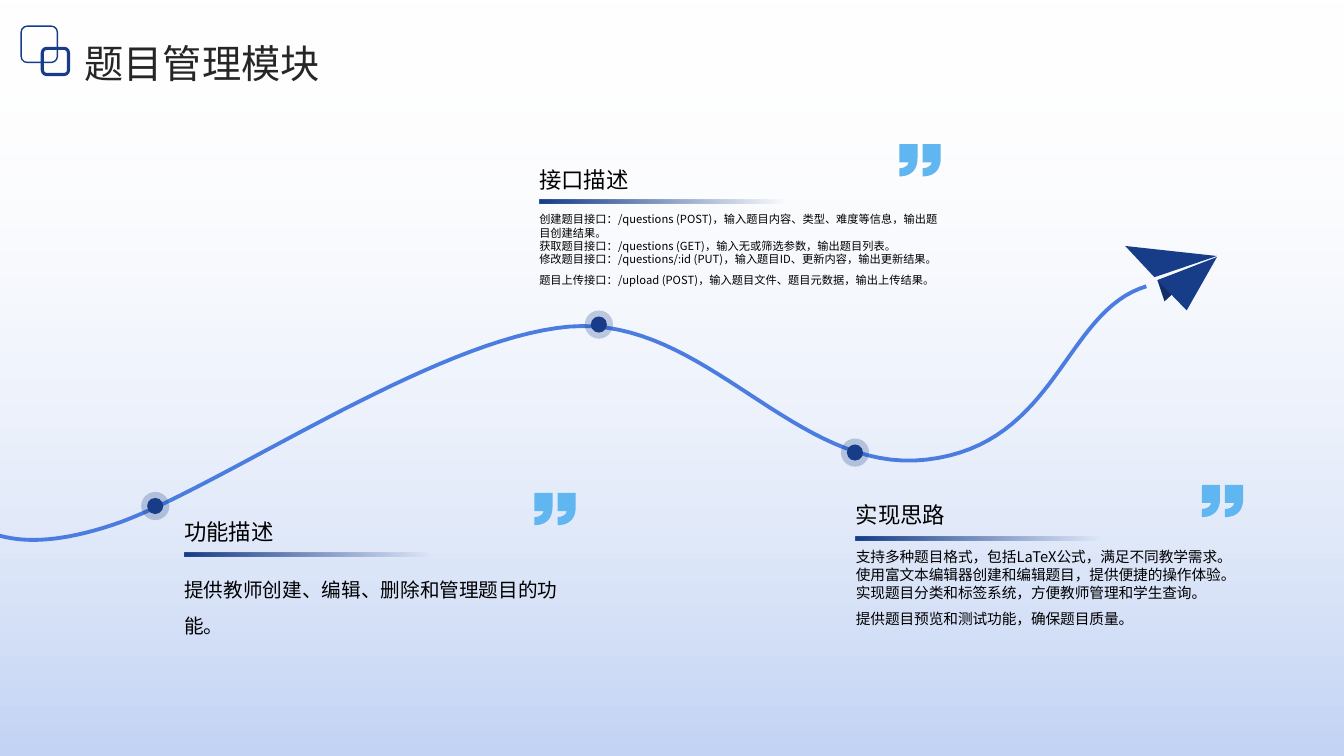
"""Build the question management slide with its three stops on a flight curve."""
from lxml import etree
from pptx import Presentation
from pptx.dml.color import RGBColor
from pptx.enum.shapes import MSO_SHAPE
from pptx.enum.text import MSO_ANCHOR
from pptx.oxml.ns import qn
from pptx.util import Inches, Pt

RECT, OVAL, ROUND = MSO_SHAPE.RECTANGLE, MSO_SHAPE.OVAL, MSO_SHAPE.ROUNDED_RECTANGLE
TOP, BOTTOM = MSO_ANCHOR.TOP, MSO_ANCHOR.BOTTOM
FONT = "Noto Sans CJK SC"
HEX = {"navy": "173D89", "dark": "112E67", "curve": "4B7DE1", "quote": "5FB6F1",
       "white": "FFFFFF", "sky": "C3D4F5", "black": "000000", "title": "262626"}
RGB = {name: RGBColor.from_string(code) for name, code in HEX.items()}


def bend(start, one, two, end, steps=32):
    """Return the points of a cubic curve after its start."""
    points = []
    for step in range(1, steps + 1):
        t = step / steps
        parts = ((1 - t) ** 3, 3 * t * (1 - t) ** 2, 3 * t * t * (1 - t), t ** 3)
        points.append(tuple(sum(part * spot[axis] for part, spot in
                                zip(parts, (start, one, two, end))) for axis in (0, 1)))
    return points


def write(box, lines, size, gaps, color="black", anchor=TOP, inset=None):
    """Add a text box with one paragraph per line and its line spacing."""
    frame = slide.shapes.add_textbox(*map(Inches, box)).text_frame
    frame.word_wrap = True
    frame.vertical_anchor = anchor
    if inset is not None:
        frame.margin_left = frame.margin_right = Inches(inset)
        frame.margin_top = frame.margin_bottom = Inches(inset)
    frame.text = "\n".join(lines)
    for para, gap in zip(frame.paragraphs, gaps):
        para._p.get_or_add_pPr().set("hangingPunct", "0")
        para.line_spacing = gap
        para.font.size = Pt(size)
        para.font.name = FONT
        para.font.color.rgb = RGB[color]
        for run in para.runs:
            etree.SubElement(run.font._element, qn("a:ea"), typeface=FONT)


deck = Presentation()
deck.slide_width, deck.slide_height = Inches(13.33), Inches(7.5)
slide = deck.slides.add_slide(deck.slide_layouts[6])
shapes = slide.shapes
fades = []

back = shapes.add_shape(RECT, 0, 0, deck.slide_width, deck.slide_height)
back.line.fill.background()
back.fill.gradient()
back.fill.gradient_angle = 270
for stop, place, name in zip(back.fill.gradient_stops, (0, 1), ("white", "sky")):
    stop.position, stop.color.rgb = place, RGB[name]
fades.append((back, 0, 0))

knots = [(-0.39, 5.2), (-0.14, 5.21), (0.1, 5.54), (1.11, 5.21), (2.12, 4.88),
         (4.3, 3.35), (5.65, 3.24), (7, 3.13), (7.89, 4.71), (9.19, 4.56),
         (10.49, 4.41), (10.55, 3.09), (11.37, 2.84)]
knots = [tuple(map(Inches, knot)) for knot in knots]
route = [spot for i in range(0, len(knots) - 1, 3) for spot in bend(*knots[i:i + 4])]
pen = shapes.build_freeform(*knots[0])
pen.add_line_segments(route, close=False)
curve = pen.convert_to_shape()
curve.fill.background()
curve.line.color.rgb, curve.line.width = RGB["curve"], Pt(2.75)

mark = [(0, 0.32), (0, 0.24), *bend((0, 0.24), (0.05, 0.24), (0.09, 0.21), (0.09, 0.18), 8),
        (0, 0.18), (0, 0), (0.18, 0), (0.18, 0.14),
        *bend((0.18, 0.14), (0.18, 0.26), (0.11, 0.32), (0, 0.32), 12)]

topics = [
    {"head": "功能描述", "box": (1.73, 4.88, 3.55, 0.58), "bar": 5.48,
     "body": (1.73, 5.57, 4.18, 0.94), "size": 14, "dot": (1.54, 5.02),
     "quote": (5.3, 4.89), "lines": ["提供教师创建、编辑、删除和管理题目的功能。"]},
    {"head": "接口描述", "box": (5.25, 1.35, 3.55, 0.61), "bar": 1.98,
     "body": (5.25, 2.06, 4.18, 0.86), "size": 8, "dot": (5.94, 3.22),
     "quote": (8.92, 1.43), "lines": [
         "创建题目接口：/questions (POST)，输入题目内容、类型、难度等信息，输出题目创建结果。",
         "获取题目接口：/questions (GET)，输入无或筛选参数，输出题目列表。",
         "修改题目接口：/questions/:id (PUT)，输入题目ID、更新内容，输出更新结果。",
         "题目上传接口：/upload (POST)，输入题目文件、题目元数据，输出上传结果。"]},
    {"head": "实现思路", "box": (8.39, 4.73, 3.31, 0.56), "bar": 5.32,
     "body": (8.39, 5.39, 4.18, 0.97), "size": 10.5, "dot": (8.48, 4.49),
     "quote": (11.92, 4.81), "lines": [
         "支持多种题目格式，包括LaTeX公式，满足不同教学需求。",
         "使用富文本编辑器创建和编辑题目，提供便捷的操作体验。",
         "实现题目分类和标签系统，方便教师管理和学生查询。",
         "提供题目预览和测试功能，确保题目质量。"]},
]

for topic in topics:
    lines = topic["lines"]
    write(topic["body"], lines, topic["size"], [1.0] * (len(lines) - 1) + [1.5])
    write(topic["box"], [topic["head"]], 16, [1.3], anchor=BOTTOM)

    x, y = topic["dot"]
    for size, alpha in ((0.28, 25), (0.16, 100)):
        dot = shapes.add_shape(OVAL, Inches(x - size / 2), Inches(y - size / 2),
                               Inches(size), Inches(size))
        dot.fill.solid()
        dot.fill.fore_color.rgb = RGB["navy"]
        dot.line.fill.background()
        fades.append((dot, 0, alpha))

    x, y = topic["quote"]
    left, right = [[(Inches(x + shift + dx), Inches(y + dy)) for dx, dy in mark]
                   for shift in (0, 0.23)]
    pen = shapes.build_freeform(*left[0])
    pen.add_line_segments(left[1:])
    pen.move_to(*right[0])
    pen.add_line_segments(right[1:])
    quote = pen.convert_to_shape()
    quote.fill.solid()
    quote.fill.fore_color.rgb = RGB["quote"]
    quote.line.fill.background()

    bar = shapes.add_shape(RECT, Inches(topic["box"][0] + 0.1), Inches(topic["bar"]),
                           Inches(3.24), Inches(0.04))
    bar.line.fill.background()
    bar.fill.gradient()
    bar.fill.gradient_angle = 0
    for stop, place in zip(bar.fill.gradient_stops, (0, 0.75)):
        stop.position, stop.color.rgb = place, RGB["navy"]
    fades.append((bar, 1, 0))

wings = [("navy", [(11.16, 2.44), (12.07, 2.54), (11.45, 2.75)]),
         ("dark", [(11.97, 2.6), (11.55, 2.99), (11.48, 2.78)]),
         ("navy", [(12.07, 2.55), (11.77, 3.08), (11.48, 2.78)])]
for name, spots in wings:
    spots = [tuple(map(Inches, spot)) for spot in spots]
    pen = shapes.build_freeform(*spots[0])
    pen.add_line_segments(spots[1:])
    wing = pen.convert_to_shape()
    wing.fill.solid()
    wing.fill.fore_color.rgb = RGB[name]
    wing.line.fill.background()

write((0.84, 0.25, 11.35, 0.59), ["题目管理模块"], 28, [1.3], "title", inset=0)
for x, y, size, width in ((0.21, 0.26, 0.36, 1), (0.42, 0.48, 0.26, 2.25)):
    frame = shapes.add_shape(ROUND, *map(Inches, (x, y, size, size)))
    frame.fill.background()
    frame.line.color.rgb, frame.line.width = RGB["navy"], Pt(width)

for shape, spot, alpha in fades:
    color = shape._element.spPr.findall(".//" + qn("a:srgbClr"))[spot]
    etree.SubElement(color, qn("a:alpha"), val=str(alpha * 1000))
for shape in shapes:
    shape.shadow.inherit = False

deck.save("out.pptx")
